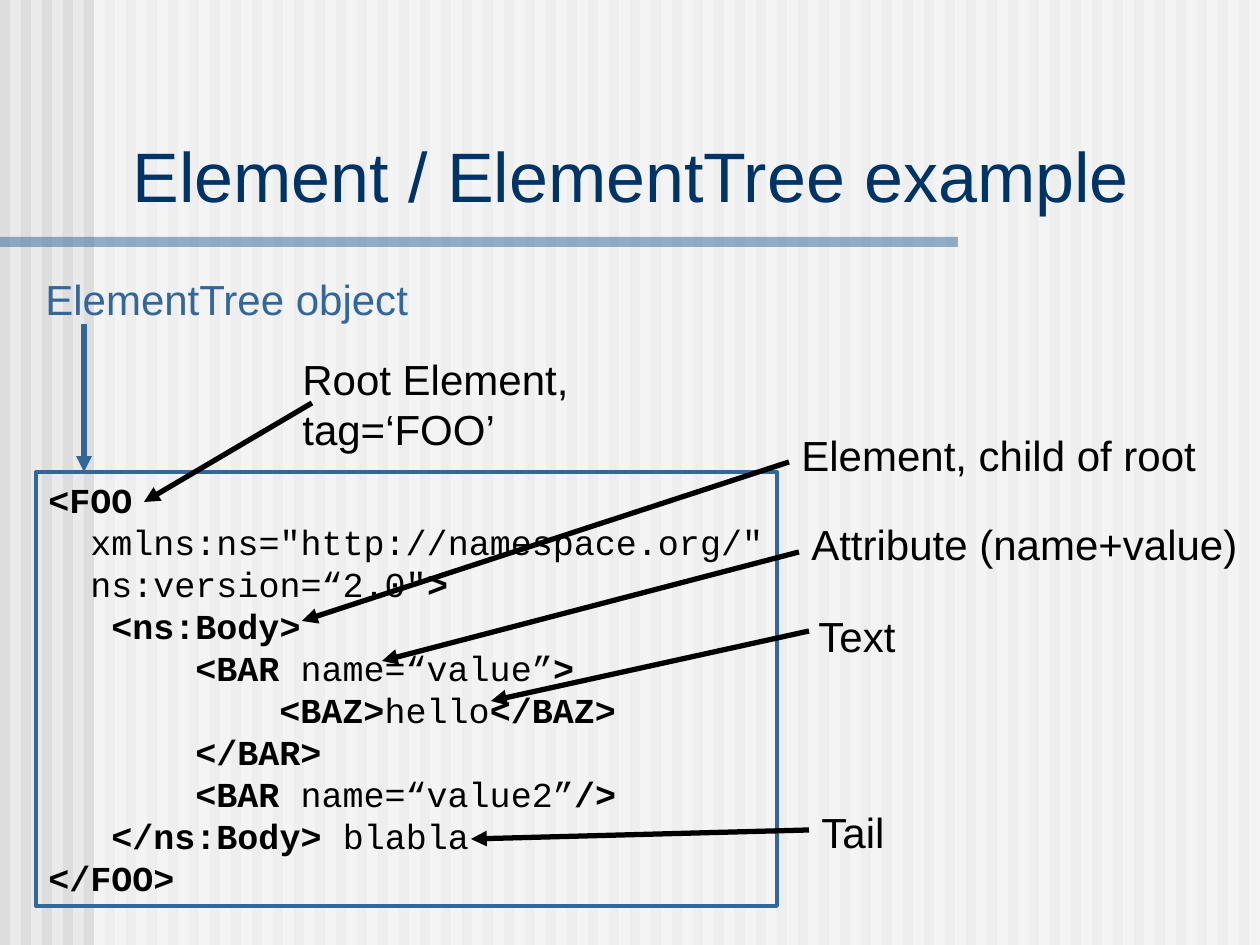
from dataclasses import dataclass

from lxml import etree
from pptx import Presentation
from pptx.dml.color import RGBColor
from pptx.enum.shapes import MSO_CONNECTOR, MSO_SHAPE
from pptx.enum.text import MSO_ANCHOR, PP_ALIGN
from pptx.oxml.ns import qn
from pptx.util import Emu, Pt

RECTANGLE = MSO_SHAPE.RECTANGLE
STRAIGHT = MSO_CONNECTOR.STRAIGHT
TOP, BOTTOM = MSO_ANCHOR.TOP, MSO_ANCHOR.BOTTOM
LEFT = PP_ALIGN.LEFT

PX = 914400 / 126
PAGE_WIDTH, PAGE_HEIGHT = 1260, 945


@dataclass(frozen=True)
class Theme:
    paper: str = "EAEAEA"
    stripe: str = "DDDDDD"
    veil: str = "FFFFFF"
    accent: str = "336699"
    heading: str = "003366"
    ink: str = "000000"
    sans: str = "Arial"
    mono: str = "Courier New"
    title_size: int = 40
    label_size: int = 24
    code_size: int = 20
    code_leading: int = 24
    frame_width: float = 2.25
    arrow_width: int = 3


THEME = Theme()

# Each line: indent in characters, then (text, bold) spans.
CODE_LINES = [
    (0, [("<FOO", True)]),
    (2, [('xmlns:ns="http://namespace.org/"', False)]),
    (2, [('ns:version=“2.0"', False), (">", True)]),
    (3, [("<ns:Body>", True)]),
    (7, [("<BAR", True), (" name=“value”", False), (">", True)]),
    (11, [("<BAZ>", True), ("hello", False), ("</BAZ>", True)]),
    (7, [("</BAR>", True)]),
    (7, [("<BAR", True), (" name=“value2”", False), ("/>", True)]),
    (3, [("</ns:Body> ", True), ("blabla", False)]),
    (0, [("</FOO>", True)]),
]

# Each callout: text, label box, arrow start, arrow end, colour.
CALLOUTS = [
    ("ElementTree object", (33, 267, 389, 63), (84, 324), (84, 472), THEME.accent),
    ("Root Element, tag=‘FOO’", (290, 347, 495, 63), (312, 403), (144, 502), THEME.ink),
    ("Element, child of root", (789, 423, 420, 63), (789, 462), (302, 621), THEME.ink),
    ("Attribute (name+value)", (799, 512, 451, 63), (799, 552), (382, 661), THEME.ink),
    ("Text", (806, 604, 107, 63), (809, 631), (491, 701), THEME.ink),
    ("Tail", (809, 800, 92, 63), (809, 830), (471, 839), THEME.ink),
]


def emu(*lengths):
    return [Emu(round(length * PX)) for length in lengths]


def rgb(color):
    return RGBColor.from_string(color)


def add_rectangle(page, box, fill=None, opacity=100, line=None, line_width=1):
    shape = page.shapes.add_shape(RECTANGLE, *emu(*box))
    shape.shadow.inherit = False
    if fill:
        shape.fill.solid()
        shape.fill.fore_color.rgb = rgb(fill)
        if opacity < 100:
            color = shape.fill._xPr.find(qn("a:solidFill"))[0]
            etree.SubElement(color, qn("a:alpha"), val=str(opacity * 1000))
    else:
        shape.fill.background()
    if line:
        shape.line.color.rgb = rgb(line)
        shape.line.width = Pt(line_width)
    else:
        shape.line.fill.background()
    return shape


def write_span(para, text, *, font, size, color, bold=False):
    span = para.add_run()
    span.text = text
    span.font.name = font
    span.font.size = Pt(size)
    span.font.color.rgb = rgb(color)
    span.font.bold = bold


def add_text(page, box, text, *, wrap=False, anchor=TOP, **span_format):
    frame = page.shapes.add_textbox(*emu(*box)).text_frame
    frame.word_wrap = wrap
    frame.vertical_anchor = anchor
    para = frame.paragraphs[0]
    para.alignment = LEFT
    write_span(para, text, **span_format)


def add_arrow(page, start, end, color):
    arrow = page.shapes.add_connector(STRAIGHT, *emu(*start, *end))
    arrow.line.color.rgb = rgb(color)
    arrow.line.width = Pt(THEME.arrow_width)
    etree.SubElement(arrow.line._get_or_add_ln(), qn("a:tailEnd"), type="triangle")
    etree.SubElement(arrow._element.spPr, qn("a:effectLst"))


def draw_backdrop(page, box):
    """Stripe the box and veil everything right of its left margin."""
    left, top, width, height = box
    pitch, stripe_width, margin = 21, 10, 94
    page.background.fill.solid()
    page.background.fill.fore_color.rgb = rgb(THEME.paper)
    for offset in range(0, width, pitch):
        add_rectangle(page, (left + offset, top, stripe_width, height), THEME.stripe)
    veil = (left + margin, top, width - margin, height)
    add_rectangle(page, veil, THEME.veil, opacity=50)


def draw_heading(page, box):
    left, top, width, height = box
    add_rectangle(page, (left, top + height - 10, 958, 10), THEME.accent, opacity=50)
    add_text(page, (left + 120, top, width - 135, height - 24),
             "Element / ElementTree example", wrap=True, anchor=BOTTOM,
             font=THEME.sans, size=THEME.title_size, color=THEME.heading)


def draw_code(page, box):
    frame = add_rectangle(page, box, line=THEME.accent,
                          line_width=THEME.frame_width).text_frame
    frame.word_wrap = True
    frame.vertical_anchor = TOP
    frame.margin_right = 0
    character = 21
    for index, (indent, spans) in enumerate(CODE_LINES):
        para = frame.add_paragraph() if index else frame.paragraphs[0]
        para.alignment = LEFT
        para.line_spacing = Pt(THEME.code_leading)
        para._p.get_or_add_pPr().set("marL", str(emu(indent * character)[0]))
        for text, bold in spans:
            write_span(para, text, font=THEME.mono, size=THEME.code_size,
                       color=THEME.ink, bold=bold)


def draw_callout(page, box, text, start, end, color):
    add_text(page, box, text, font=THEME.sans, size=THEME.label_size, color=color)
    add_arrow(page, start, end, color)


def main():
    deck = Presentation()
    deck.slide_width, deck.slide_height = emu(PAGE_WIDTH, PAGE_HEIGHT)
    page = deck.slides.add_slide(deck.slide_layouts[6])
    draw_backdrop(page, (0, 0, PAGE_WIDTH, PAGE_HEIGHT))
    draw_heading(page, (0, 73, PAGE_WIDTH, 174))
    draw_code(page, (36, 472, 741, 434))
    for text, box, start, end, color in CALLOUTS:
        draw_callout(page, box, text, start, end, color)
    deck.save("out.pptx")


if __name__ == "__main__":
    main()
